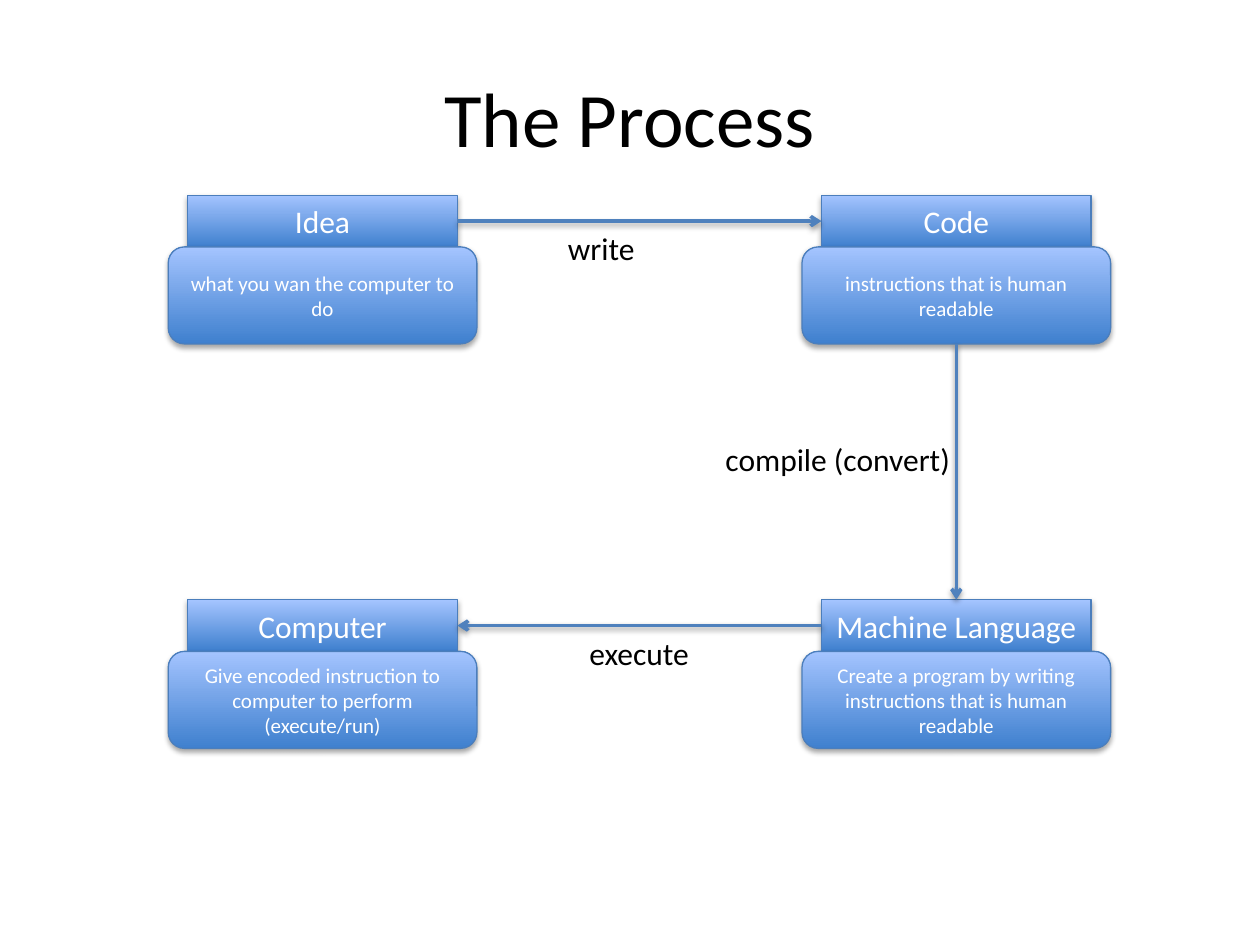
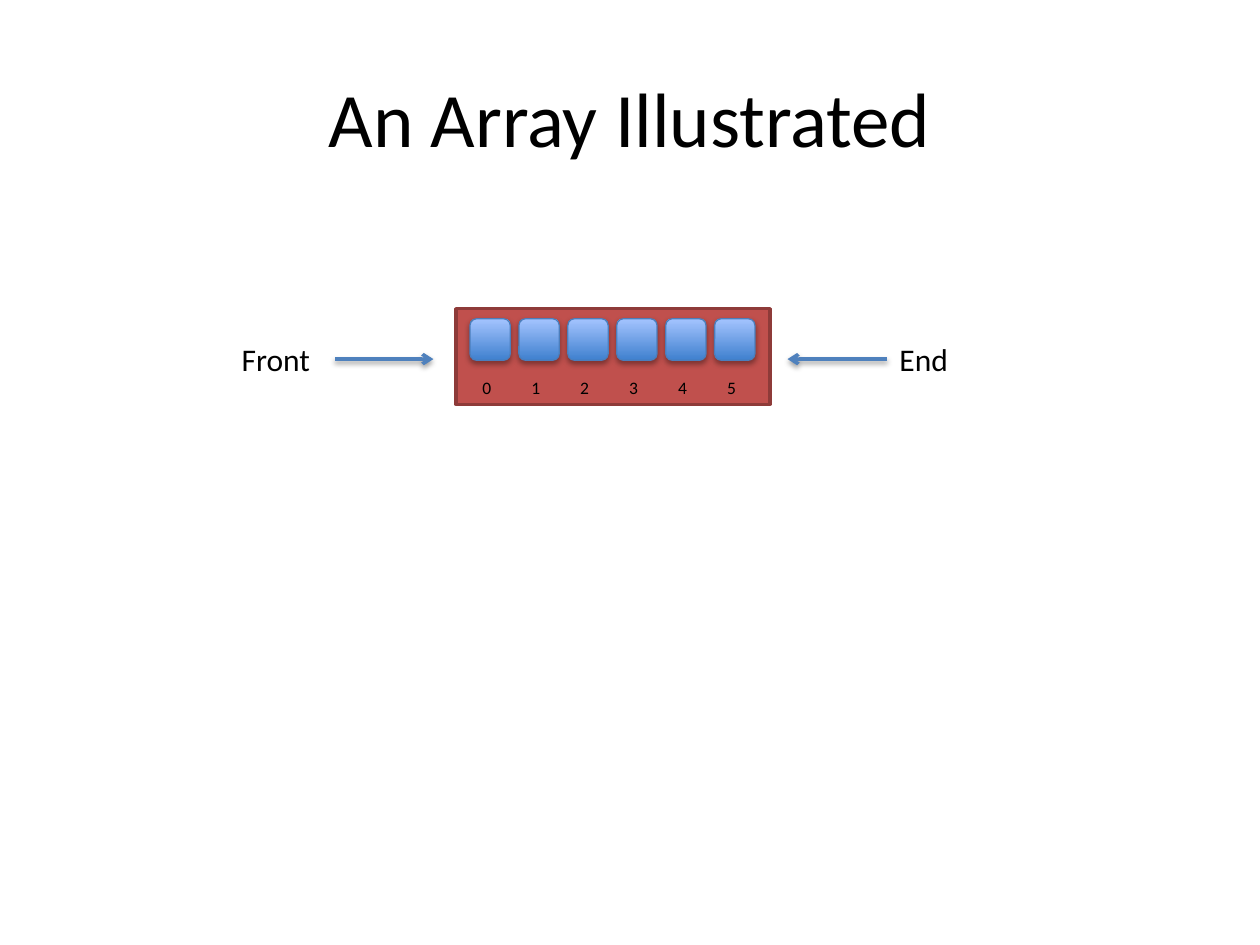
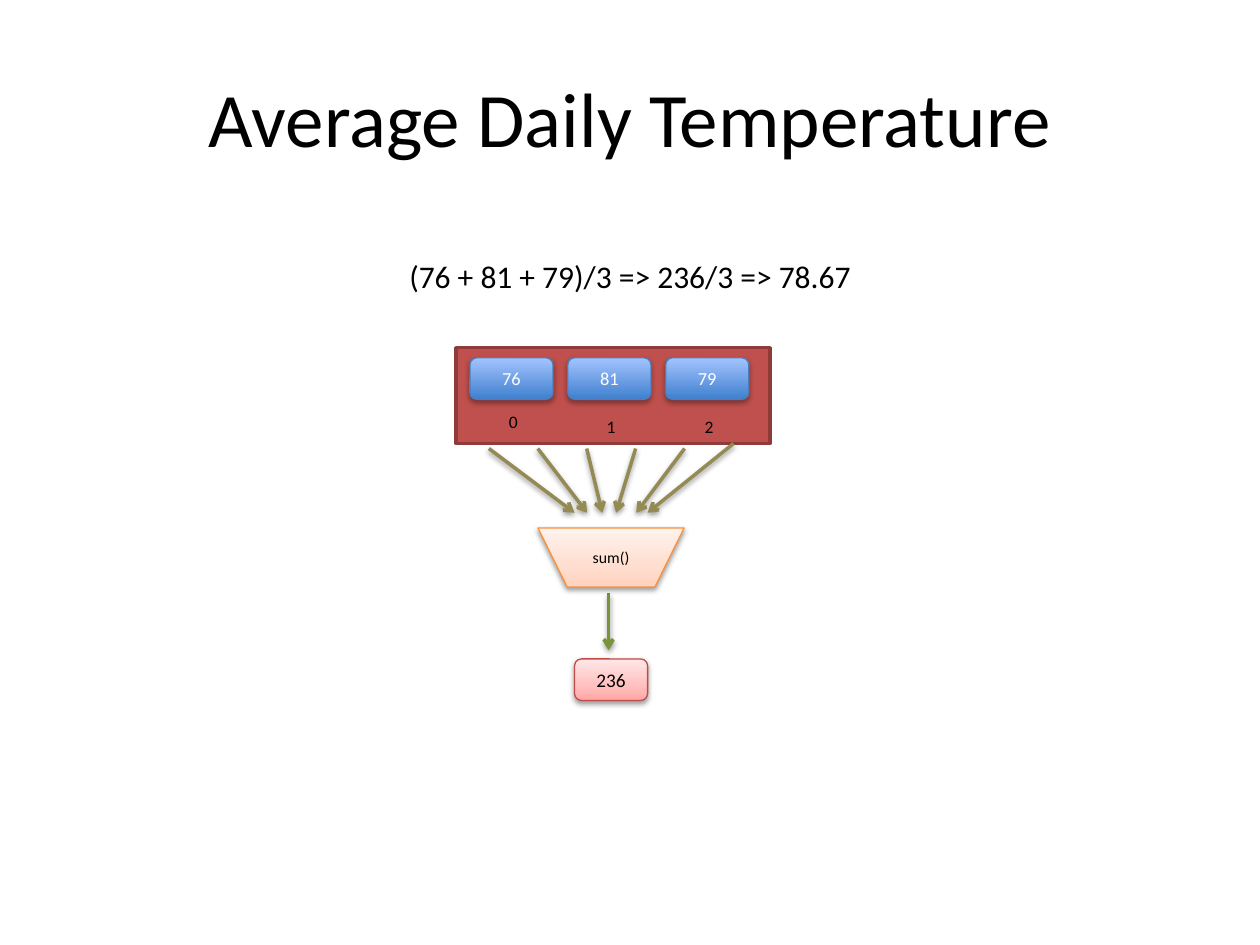
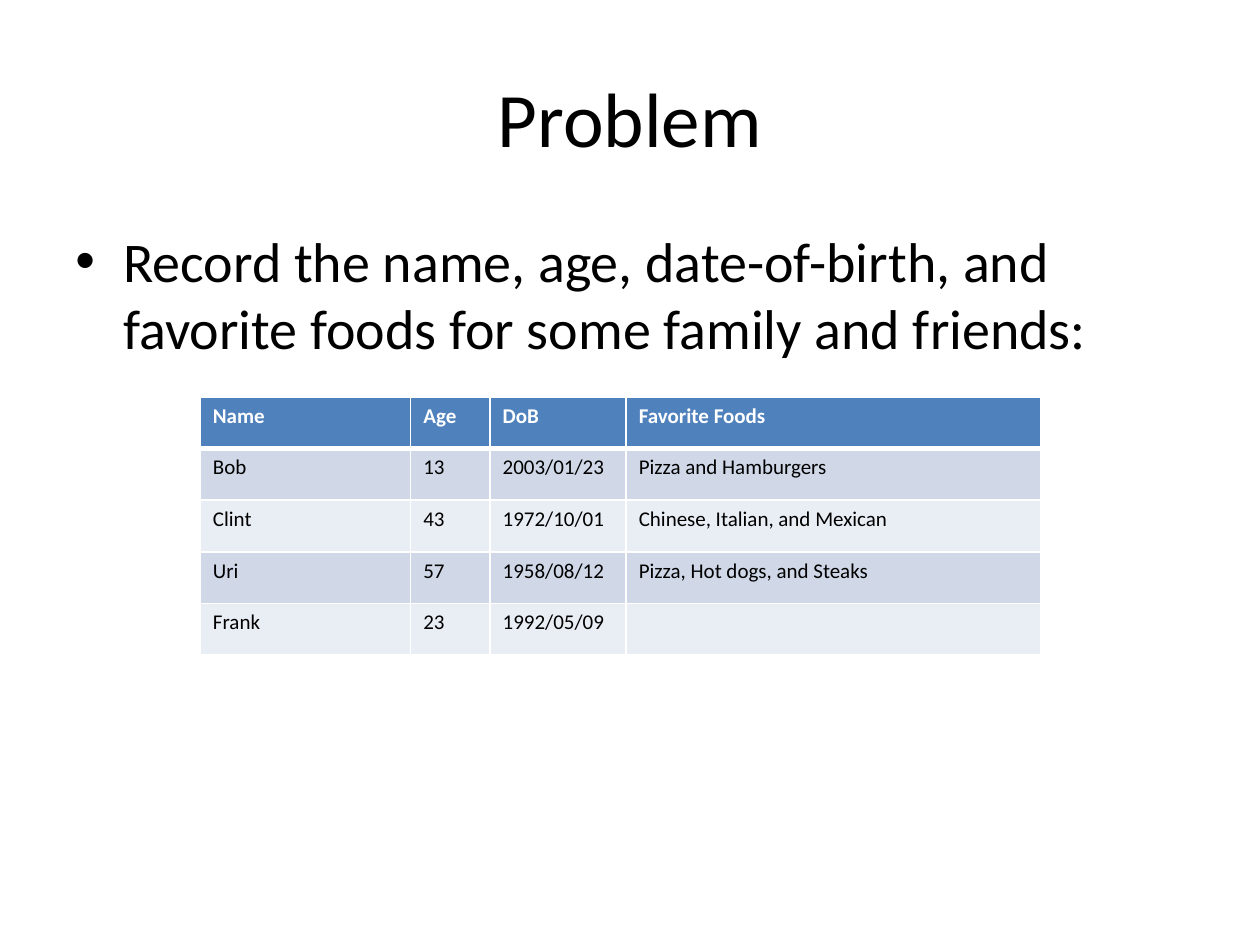
from collections import namedtuple

from lxml import etree
from pptx import Presentation
from pptx.dml.color import RGBColor
from pptx.enum.shapes import MSO_CONNECTOR, MSO_SHAPE
from pptx.enum.text import MSO_ANCHOR, MSO_AUTO_SIZE, PP_ALIGN
from pptx.oxml.ns import qn
from pptx.util import Inches, Pt

RECT = MSO_SHAPE.RECTANGLE
ROUNDED = MSO_SHAPE.ROUNDED_RECTANGLE
FUNNEL = MSO_SHAPE.FLOWCHART_MANUAL_OPERATION
STRAIGHT = MSO_CONNECTOR.STRAIGHT
CENTER, LEFT = PP_ALIGN.CENTER, PP_ALIGN.LEFT
MIDDLE, TOP = MSO_ANCHOR.MIDDLE, MSO_ANCHOR.TOP
FIT_SHAPE = MSO_AUTO_SIZE.SHAPE_TO_FIT_TEXT
TOP_SIDE, LEFT_SIDE, BOTTOM_SIDE, RIGHT_SIDE = range(4)

SLIDE_W, SLIDE_H = 10, 7.5
FONT = "Calibri"
BLACK, WHITE = "000000", "FFFFFF"
BLUE, TAN, GREEN = "4F81BD", "948A54", "77933C"
RED, DARK_RED = "C0504D", "8E3B39"
BAND_DARK, BAND_LIGHT = "D0D8E8", "E9EDF4"

# Gradient stops run from the bottom of the shape to its top.
Style = namedtuple("Style", "stops line text shadow")
BLUE_BLOCK = Style([(0, "3F80CE"), (100, "A4C4FF")], "4B7EBC", WHITE, (35, 1.8))
ORANGE_BLOCK = Style([(0, "FFD2BD"), (35, "FFDED0"), (100, "FFF2ED")],
                     "F69240", BLACK, (38, 1.6))
PINK_BLOCK = Style([(0, "FFA6A5"), (35, "FFC0BF"), (100, "FFE7E7")],
                   "BF4C48", BLACK, (38, 1.6))
ARROW_SHADOW = (38, 1.6)

Box = namedtuple("Box", "x y w h")
TITLE_BOX = Box(0.05 * SLIDE_W, 0.04 * SLIDE_H, 0.9 * SLIDE_W, 1.25)


def rgb(color):
    return RGBColor.from_string(color)


def inches(*lengths):
    return [Inches(length) for length in lengths]


def child(parent, tag, **attributes):
    element = etree.SubElement(parent, qn(tag))
    for name, value in attributes.items():
        element.set(name, str(value))
    return element


def color_child(parent, color):
    return child(parent, "a:srgbClr", val=color)


def style_paragraph(paragraph, size, color, bold=False, align=LEFT):
    paragraph.alignment = align
    font = paragraph.font
    font.name, font.size, font.bold = FONT, Pt(size), bold
    font.color.rgb = rgb(color)


def add_text(slide, box, text, size, align=LEFT, anchor=TOP, wrap=True, fit=False):
    frame = slide.shapes.add_textbox(*inches(*box)).text_frame
    frame.word_wrap = wrap
    frame.vertical_anchor = anchor
    if fit:
        frame.auto_size = FIT_SHAPE
    paragraph = frame.paragraphs[0]
    paragraph.text = text
    style_paragraph(paragraph, size, BLACK, align=align)
    return paragraph


def add_label(slide, x, y, w, text):
    add_text(slide, Box(x, y, w, 0.4), text, 18, wrap=False, fit=True)


def add_shadow(effects, opacity, distance):
    shadow = child(effects, "a:outerShdw", blurRad=Pt(3.1), dist=Pt(distance),
                   dir=90 * 60000, rotWithShape=0)
    child(color_child(shadow, BLACK), "a:alpha", val=opacity * 1000)


def add_block(slide, kind, box, style, text="", size=12):
    """Add a gradient shape with a soft shadow below it."""
    block = slide.shapes.add_shape(kind, *inches(*box))
    block.fill.gradient()
    block.fill.gradient_angle = 90
    properties = block.element.spPr
    stops = properties.find(qn("a:gradFill")).find(qn("a:gsLst"))
    stops.clear()
    for position, color in style.stops:
        color_child(child(stops, "a:gs", pos=position * 1000), color)
    block.line.color.rgb = rgb(style.line)
    block.line.width = Pt(0.75)
    block.shadow.inherit = False
    add_shadow(properties.find(qn("a:effectLst")), *style.shadow)
    if text:
        frame = block.text_frame
        frame.word_wrap = True
        frame.vertical_anchor = MIDDLE
        frame.paragraphs[0].text = text
        style_paragraph(frame.paragraphs[0], size, style.text, align=CENTER)
    return block


def add_arrow(slide, start, end, color=BLUE):
    arrow = slide.shapes.add_connector(STRAIGHT, *inches(*start, *end))
    arrow.line.color.rgb = rgb(color)
    arrow.line.width = Pt(2)
    properties = arrow.element.spPr
    child(properties.find(qn("a:ln")), "a:tailEnd", type="arrow")
    add_shadow(child(properties, "a:effectLst"), *ARROW_SHADOW)
    return arrow


def join(slide, source, source_side, target, target_side):
    arrow = add_arrow(slide, (0, 0), (1, 1))
    arrow.begin_connect(source, source_side)
    arrow.end_connect(target, target_side)


def add_titled_slide(deck, title):
    slide = deck.slides.add_slide(deck.slide_layouts[6])
    add_text(slide, TITLE_BOX, title, 44, CENTER, MIDDLE)
    return slide


def add_stage(slide, x, y, name, detail):
    """Add a header with its wider detail box below; return both."""
    header_w, header_h, detail_w, detail_h = 2.14, 0.41, 2.45, 0.77
    header = add_block(slide, RECT, Box(x, y, header_w, header_h), BLUE_BLOCK, name, 18)
    detail_x = x - (detail_w - header_w) / 2
    body = add_block(slide, ROUNDED, Box(detail_x, y + header_h, detail_w, detail_h),
                     BLUE_BLOCK, detail)
    return header, body


def process_slide(deck):
    slide = add_titled_slide(deck, "The Process")
    left, right, upper, lower = 1.49, 6.52, 1.55, 4.76
    idea, _ = add_stage(slide, left, upper, "Idea", "what you wan the computer to do")
    code, code_detail = add_stage(slide, right, upper, "Code",
                                  "instructions that is human readable")
    machine, _ = add_stage(slide, right, lower, "Machine Language",
                           "Create a program by writing instructions that is human readable")
    computer, _ = add_stage(slide, left, lower, "Computer",
                            "Give encoded instruction to computer to perform (execute/run)")
    join(slide, idea, RIGHT_SIDE, code, LEFT_SIDE)
    join(slide, code_detail, BOTTOM_SIDE, machine, TOP_SIDE)
    join(slide, machine, LEFT_SIDE, computer, RIGHT_SIDE)
    add_label(slide, 4.41, upper + 0.22, 0.74, "write")
    add_label(slide, 5.66, 3.44, 2.04, "compile (convert)")
    add_label(slide, 4.58, lower + 0.22, 1.01, "execute")


ARRAY_X, ARRAY_W, ARRAY_H = 3.62, 2.49, 0.76
SLOT = 2.33 / 6


def add_array(slide, y, values, slots_each, cell_w, index_shift, index_drops):
    """Add the red array with its cells and the index under each."""
    tray = slide.shapes.add_shape(RECT, *inches(ARRAY_X, y, ARRAY_W, ARRAY_H))
    tray.shadow.inherit = False
    tray.fill.solid()
    tray.fill.fore_color.rgb = rgb(RED)
    tray.line.color.rgb = rgb(DARK_RED)
    tray.line.width = Pt(2)
    for index, (value, drop) in enumerate(zip(values, index_drops)):
        x = ARRAY_X + 0.11 + index * slots_each * SLOT
        add_block(slide, ROUNDED, Box(x, y + 0.08, cell_w, 0.33), BLUE_BLOCK, value, 10.5)
        add_text(slide, Box(x + index_shift, y + drop, 0.32, 0.27), str(index), 10, fit=True)


def array_slide(deck):
    slide = add_titled_slide(deck, "An Array Illustrated")
    array_y = 2.45
    add_array(slide, array_y, [""] * 6, 1, 0.32, 0, [0.49] * 6)
    add_label(slide, 1.82, array_y + 0.2, 0.76, "Front")
    add_label(slide, 7.04, array_y + 0.2, 0.59, "End")
    arrow_y = array_y + 0.4
    for start, end in [(2.66, 3.44), (7.04, 6.25)]:
        add_arrow(slide, (start, arrow_y), (end, arrow_y))


def average_slide(deck):
    slide = add_titled_slide(deck, "Average Daily Temperature")
    array_y = 2.76
    add_array(slide, array_y, ["76", "81", "79"], 2, 0.66, 0.21, [0.45, 0.49, 0.49])
    add_arrow(slide, (4.83, 4.71), (4.83, 5.16), GREEN)
    add_block(slide, FUNNEL, Box(4.27, 4.19, 1.16, 0.47), ORANGE_BLOCK, "sum()", 9)
    arrow_tops = [array_y + 0.8] * 5 + [array_y + ARRAY_H]
    funnel_points = [4.56, 4.66, 4.78, 4.89, 5.05, 5.14]
    for slot, (top, point) in enumerate(zip(arrow_tops, funnel_points)):
        add_arrow(slide, (3.88 + slot * SLOT, top), (point, 4.07), TAN)
    add_block(slide, ROUNDED, Box(4.56, 5.23, 0.58, 0.33), PINK_BLOCK, "236", 11)
    add_label(slide, 3.15, 1.99, 3.74, "(76 + 81 + 79)/3 => 236/3 => 78.67")


PEOPLE = [
    ("Name", "Age", "DoB", "Favorite Foods"),
    ("Bob", "13", "2003/01/23", "Pizza and Hamburgers"),
    ("Clint", "43", "1972/10/01", "Chinese, Italian, and Mexican"),
    ("Uri", "57", "1958/08/12", "Pizza, Hot dogs, and Steaks"),
    ("Frank", "23", "1992/05/09", ""),
]


def add_borders(cell, top, bottom):
    properties = cell._tc.get_or_add_tcPr()
    widths = {"a:lnL": 1, "a:lnR": 1, "a:lnT": top, "a:lnB": bottom}
    for place, (tag, width) in enumerate(widths.items()):
        border = child(properties, tag, w=Pt(width))
        color_child(child(border, "a:solidFill"), WHITE)
        properties.insert(place, border)


def add_people_table(slide, x, y):
    widths, row_h = [1.67, 0.63, 1.08, 3.29], 0.41
    box = Box(x, y, sum(widths), row_h * len(PEOPLE))
    table = slide.shapes.add_table(len(PEOPLE), len(widths), *inches(*box)).table
    for column, width in zip(table.columns, widths):
        column.width = Inches(width)
    for r, person in enumerate(PEOPLE):
        header = r == 0
        fill = BLUE if header else (BAND_DARK if r % 2 else BAND_LIGHT)
        for c, text in enumerate(person):
            cell = table.cell(r, c)
            cell.text = text
            style_paragraph(cell.text_frame.paragraphs[0], 12,
                            WHITE if header else BLACK, bold=header)
            cell.fill.solid()
            cell.fill.fore_color.rgb = rgb(fill)
            add_borders(cell, 3 if r == 1 else 1, 3 if header else 1)


def add_bullet(slide, box, text):
    paragraph = add_text(slide, box, text, 32)
    properties = paragraph._p.get_or_add_pPr()
    properties.set("marL", str(Inches(0.38)))
    properties.set("indent", str(-Inches(0.38)))
    bullet_font = child(properties, "a:buFont", typeface="Arial")
    bullet = child(properties, "a:buChar", char="•")
    properties.insert(0, bullet_font)
    properties.insert(1, bullet)


def problem_slide(deck):
    slide = add_titled_slide(deck, "Problem")
    add_bullet(slide, Box(TITLE_BOX.x, 1.75, TITLE_BOX.w, 4.95),
               "Record the name, age, date-of-birth, and favorite foods "
               "for some family and friends:")
    add_people_table(slide, 1.59, 3.15)


def main():
    deck = Presentation()
    deck.slide_width, deck.slide_height = inches(SLIDE_W, SLIDE_H)
    for build in (process_slide, array_slide, average_slide, problem_slide):
        build(deck)
    deck.save("out.pptx")


if __name__ == "__main__":
    main()
